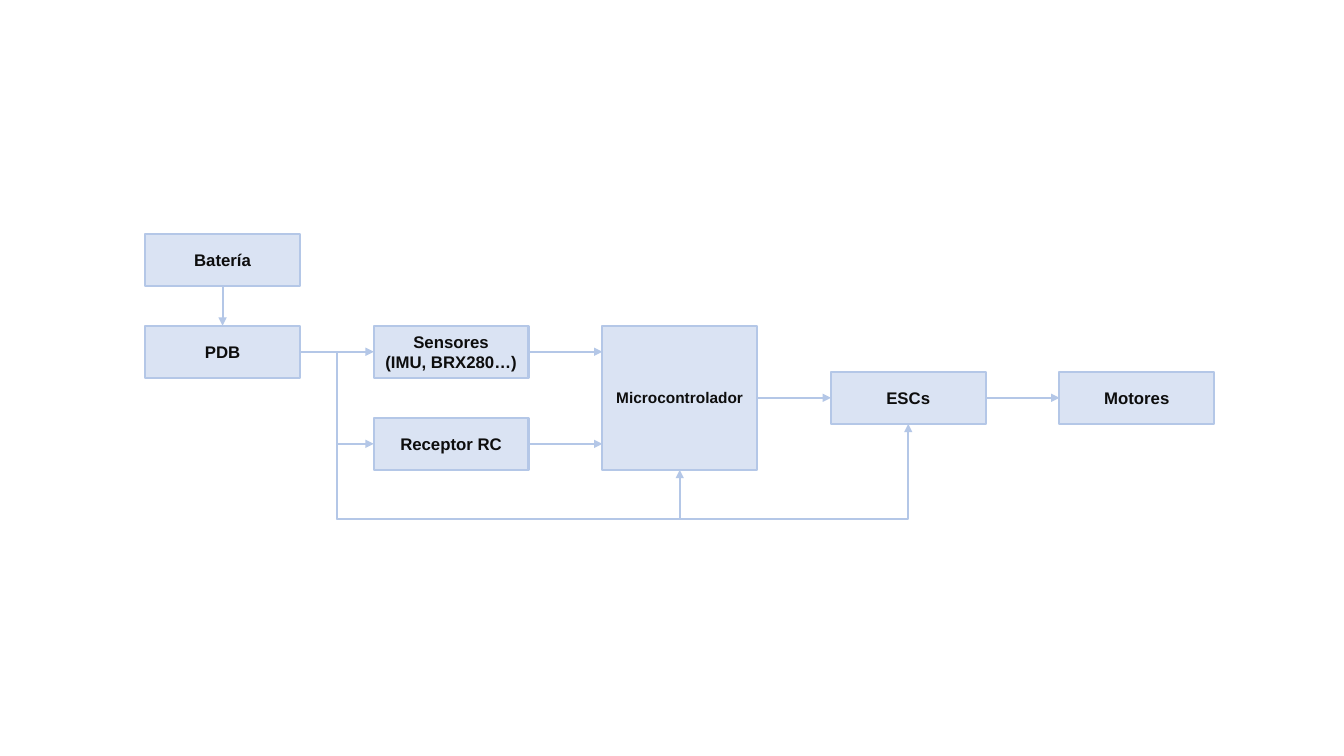
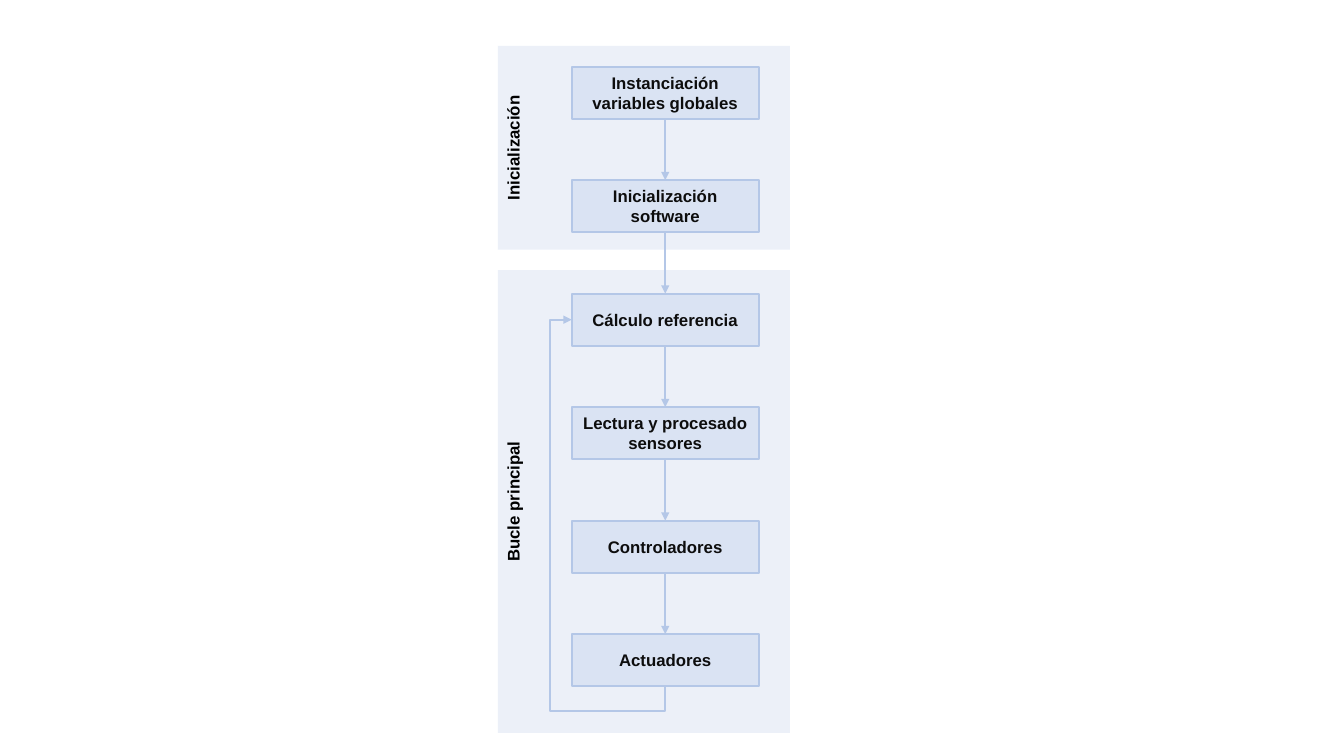
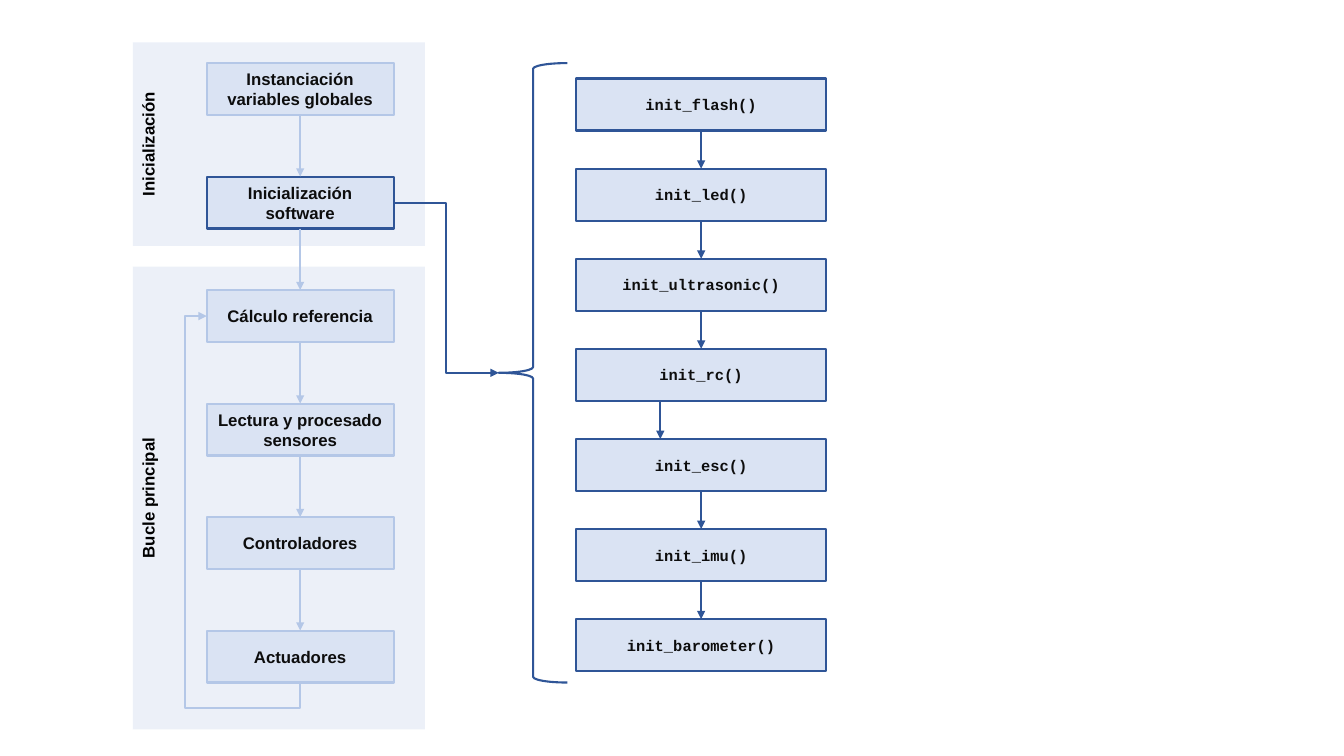
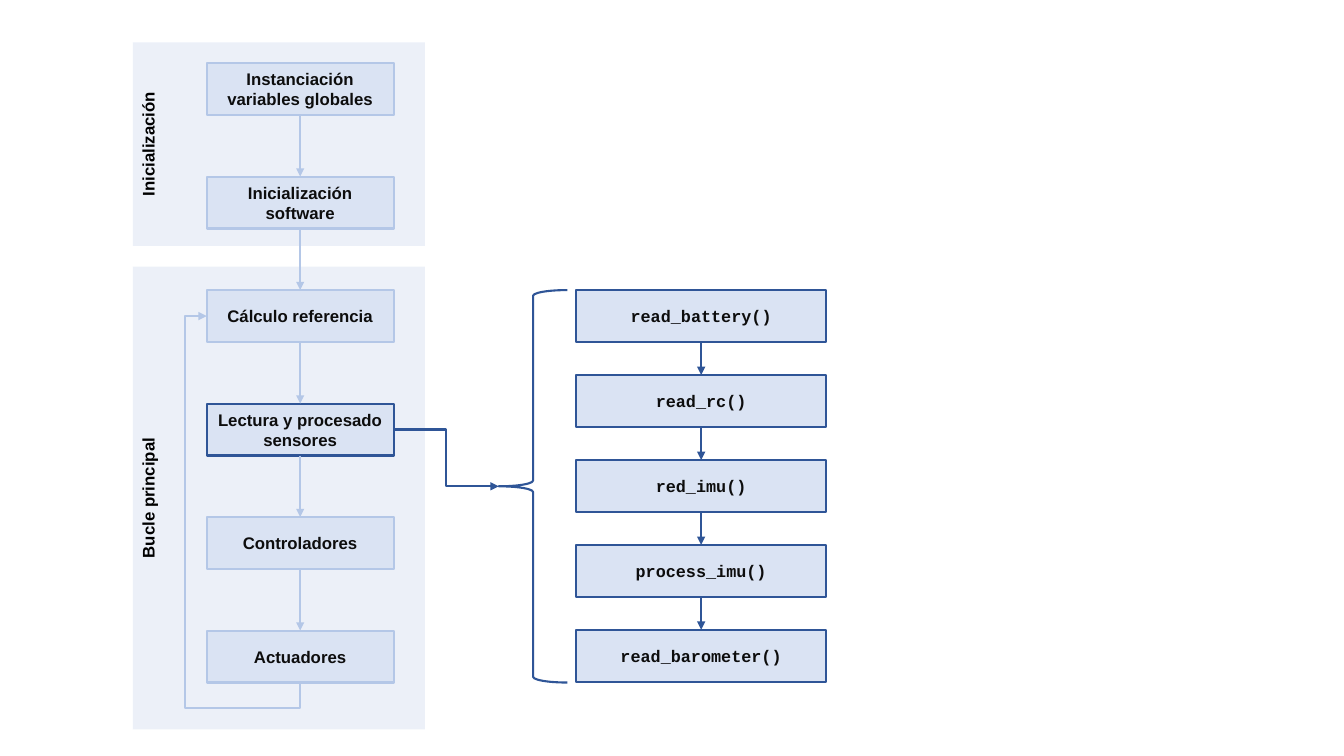
"""Block diagrams of a drone: hardware, program flow and the calls of two steps."""
from dataclasses import dataclass
from itertools import pairwise

from lxml.etree import SubElement
from pptx import Presentation
from pptx.dml.color import RGBColor as RGB
from pptx.enum.shapes import MSO_CONNECTOR as LINE, MSO_SHAPE as SHAPE
from pptx.enum.text import MSO_ANCHOR as ANCHOR, PP_ALIGN as ALIGN
from pptx.oxml.ns import qn
from pptx.util import Cm, Pt


@dataclass(frozen=True)
class Theme:
    fill: RGB = RGB(0xDA, 0xE3, 0xF3)
    soft: RGB = RGB(0xB4, 0xC7, 0xE7)
    strong: RGB = RGB(0x2F, 0x55, 0x97)
    text: RGB = RGB(0x0D, 0x0D, 0x0D)
    band_text: RGB = RGB(0, 0, 0)
    font: str = "Arial"
    code: str = "Courier New"
    size: Pt = Pt(12)
    small: Pt = Pt(11)
    line: Pt = Pt(1.5)


T = Theme()
TOP, LEFT, BOTTOM, RIGHT = range(4)
BOX_H = 1.31


def box(s, x, y, w, h, text, line=T.soft, size=T.size, font=T.font, color=T.text):
    sp = s.shapes.add_shape(SHAPE.RECTANGLE, Cm(x), Cm(y), Cm(w), Cm(h))
    sp.shadow.inherit = False
    sp.fill.solid()
    sp.fill.fore_color.rgb = T.fill
    sp.line.color.rgb = line
    sp.line.width = T.line
    tf = sp.text_frame
    tf.text = text
    for p in tf.paragraphs:
        p.alignment = ALIGN.CENTER
        p.font.name, p.font.size, p.font.bold = font, size, True
        p.font.color.rgb = color
    return sp


def link(s, begin=None, end=None, points=(0, 0, 0, 0), color=T.soft,
         kind=LINE.STRAIGHT, bend=None, arrow="a:tailEnd"):
    c = s.shapes.add_connector(kind, *points)
    if begin:
        c.begin_connect(*begin)
        c.end_connect(*end)
    c.line.color.rgb = color
    c.line.width = T.line
    spPr = c.element.spPr
    SubElement(spPr.find(qn("a:ln")), qn(arrow), type="triangle")
    SubElement(spPr, qn("a:effectLst"))
    if bend:
        geom = spPr.find(qn("a:prstGeom"))
        geom.set("prst", "bentConnector4")
        ratios = ((bend[0] - c.begin_x) / (c.end_x - c.begin_x),
                  (bend[1] - c.begin_y) / (c.end_y - c.begin_y))
        for i, ratio in enumerate(ratios, 1):
            SubElement(geom.find(qn("a:avLst")), qn("a:gd"),
                       name=f"adj{i}", fmla=f"val {round(ratio * 100000)}")


prs = Presentation()
prs.slide_width, prs.slide_height = Cm(33.87), Cm(19.05)
blank = prs.slide_layouts[6]

s = prs.slides.add_slide(blank)
COL, ROW = 5.76, 2.32
parts = {}
for name, col, row, text in [
    ("sensors", 1, 1, "Sensores\n(IMU, BRX280…)"),
    ("battery", 0, 0, "Batería"),
    ("receiver", 1, 2, "Receptor RC"),
    ("micro", 2, 1, "Microcontrolador"),
    ("escs", 3, 1.5, "ESCs"),
    ("motors", 4, 1.5, "Motores"),
    ("pdb", 0, 1, "PDB"),
]:
    is_micro = name == "micro"
    parts[name] = box(s, 3.66 + col * COL, 5.89 + row * ROW, 3.9,
                      BOX_H + ROW * is_micro, text,
                      size=T.small if is_micro else T.size)

pdb, micro, escs = parts["pdb"], parts["micro"], parts["escs"]
link(s, (parts["battery"], BOTTOM), (pdb, TOP))
link(s, (pdb, RIGHT), (parts["sensors"], LEFT))
link(s, (pdb, RIGHT), (parts["receiver"], LEFT), kind=LINE.ELBOW)
link(s, (micro, RIGHT), (escs, LEFT))
link(s, (escs, RIGHT), (parts["motors"], LEFT))
bus = (pdb.left + pdb.width + Cm(0.93), micro.top + micro.height + Cm(1.23))
for target in (micro, escs):
    link(s, (pdb, RIGHT), (target, BOTTOM), kind=LINE.ELBOW, bend=bus)
for name in ("sensors", "receiver"):
    sp = parts[name]
    y = sp.top + sp.height // 2
    link(s, points=(sp.left + sp.width, y, micro.left, y))

BANDS = [("Inicialización", 0, 5.13), ("Bucle principal", 5.65, 11.66)]
STEPS = ["Instanciación variables globales", "Inicialización software",
         "Cálculo referencia", "Lectura y procesado sensores",
         "Controladores", "Actuadores"]
INIT = ["init_flash()", "init_led()", "init_ultrasonic()", "init_rc()",
        "init_esc()", "init_imu()", "init_barometer()"]
READ = ["read_battery()", "read_rc()", "red_imu()", "process_imu()",
        "read_barometer()"]

for x, y, active, calls, size, brace_step, call_top, pitch in [
    (12.55, 1.16, None, [], T.size, 0, 0, 0),
    (3.35, 1.07, 1, INIT, T.small, 0, 1.98, 2.27),
    (3.35, 1.07, 3, READ, T.size, 2, 7.31, 2.14),
]:
    s = prs.slides.add_slide(blank)
    for text, dy, h in BANDS:
        band = box(s, x, y + dy, 7.36, h, text, color=T.band_text)
        band.line.fill.background()
        SubElement(band.element.spPr.find(qn("a:solidFill"))[0],
                   qn("a:alpha"), val="50000")
        band.text_frame.vertical_anchor = ANCHOR.TOP
        band.text_frame._txBody.bodyPr.set("vert", "vert270")

    steps = [box(s, x + 1.86, y + 0.52 + i * 2.86, 4.71, BOX_H, text,
                 line=T.strong if i == active else T.soft)
             for i, text in enumerate(STEPS)]
    for a, b in pairwise(steps):
        link(s, (a, BOTTOM), (b, TOP))
    first, last = steps[2], steps[-1]
    bottom = last.top + last.height
    link(s, (first, LEFT), (last, BOTTOM), kind=LINE.ELBOW, arrow="a:headEnd",
         bend=(first.left - Cm(0.55), bottom + Cm(0.64)))
    if not calls:
        continue

    top = steps[brace_step].top
    brace = s.shapes.add_shape(SHAPE.LEFT_BRACE, Cm(12.57), top, Cm(1.73), bottom - top)
    brace.shadow.inherit = False
    brace.fill.background()
    brace.line.color.rgb = T.strong
    brace.line.width = T.line
    link(s, (steps[active], RIGHT), (brace, LEFT), color=T.strong, kind=LINE.ELBOW)

    boxes = [box(s, 14.52, call_top + i * pitch, 6.3, BOX_H, text,
                 line=T.strong, size=size, font=T.code)
             for i, text in enumerate(calls)]
    for a, b in pairwise(boxes):
        if a.text_frame.text == "init_rc()":
            link(s, points=(Cm(16.64), a.top + a.height, Cm(16.64), b.top), color=T.strong)
        else:
            link(s, (a, BOTTOM), (b, TOP), color=T.strong)

prs.save("out.pptx")
